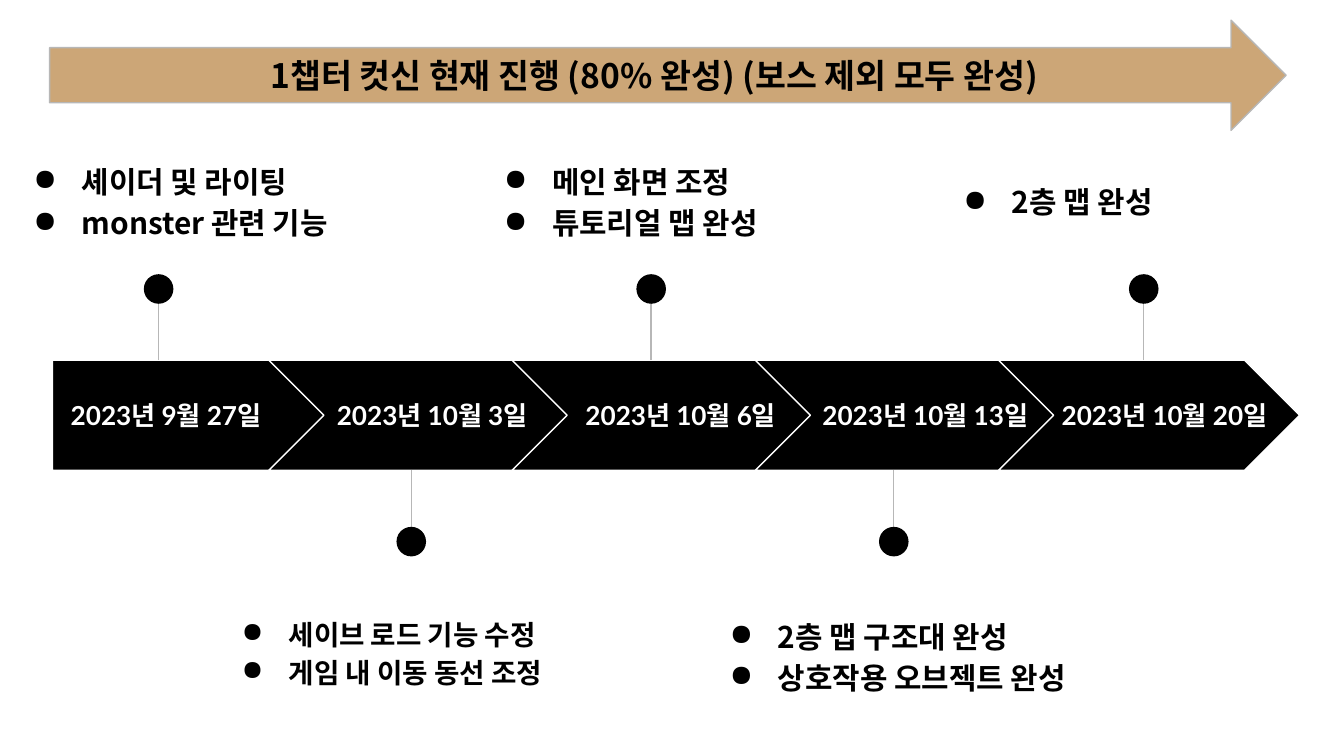
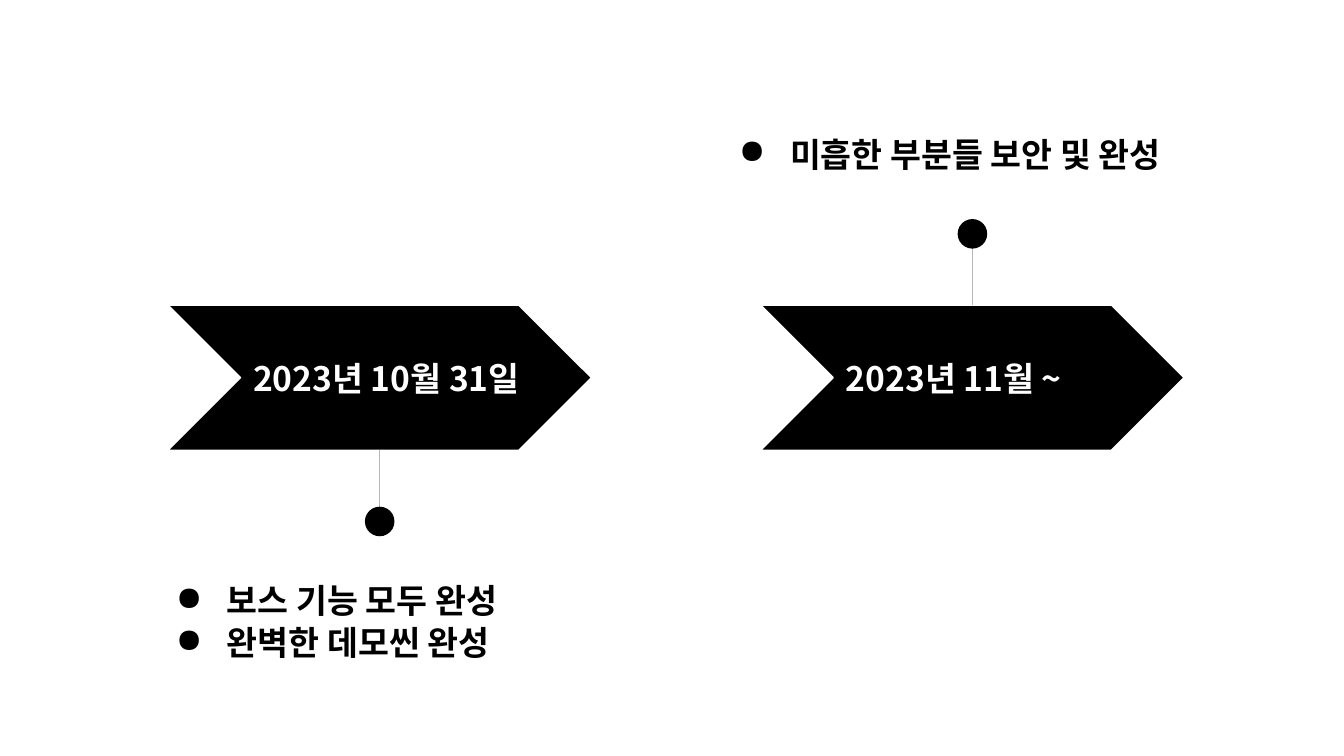
from dataclasses import dataclass

from lxml import etree
from pptx import Presentation
from pptx import util as u
from pptx.dml.color import RGBColor
from pptx.enum import shapes, text
from pptx.oxml.ns import qn

COLUMNS, ROWS = 100, 56.25  # square grid cells on a 16:9 page


@dataclass(frozen=True)
class Theme:
    ink: str = "000000"
    paper: str = "FFFFFF"
    rule: str = "B7B7B7"
    accent: str = "CCA677"
    hangul: str = "Noto Sans CJK KR"
    latin: str = "Lato"
    large: float = 18
    medium: float = 16
    compact: float = 14.8
    small: float = 14
    hairline: float = 0.75


THEME = Theme()
SHAPE = shapes.MSO_SHAPE
LEFT, CENTER = text.PP_ALIGN.LEFT, text.PP_ALIGN.CENTER


def assign(target, values):
    for name, value in values.items():
        setattr(target, name, value)


class Timeline:
    """Holds the deck, its theme and the slide being drawn."""

    DOT = 2.2        # dot diameter
    DOT_GAP = 4.2    # from bar edge to dot
    STEM = 6         # stem length, ending inside the dot

    def __init__(self, theme):
        self.theme = theme
        self.deck = Presentation()
        self.deck.slide_width = u.Inches(10)
        self.deck.slide_height = int(self.deck.slide_width * 9 / 16)
        self.page = None

    def new_page(self):
        self.page = self.deck.slides.add_slide(self.deck.slide_layouts[6])
        fill = self.page.background.fill
        fill.solid()
        fill.fore_color.rgb = RGBColor.from_string(self.theme.paper)

    def x(self, columns):
        return int(self.deck.slide_width * columns / COLUMNS)

    def y(self, rows):
        return int(self.deck.slide_height * rows / ROWS)

    def place(self, at):
        left, top, width, height = at
        return self.x(left), self.y(top), self.x(width), self.y(height)

    def shape(self, kind, at, fill, line=None):
        shape = self.page.shapes.add_shape(kind, *self.place(at))
        shape.shadow.inherit = False
        shape.fill.solid()
        shape.fill.fore_color.rgb = RGBColor.from_string(fill)
        if line:
            shape.line.color.rgb = RGBColor.from_string(line)
            shape.line.width = u.Pt(self.theme.hairline)
        else:
            shape.line.fill.background()
        return shape

    def step(self, kind, at):
        self.shape(kind, at, self.theme.ink, self.theme.paper)

    def set_text(self, shape, lines, size, color, font=None, align=LEFT,
                 anchor=text.MSO_ANCHOR.MIDDLE, spacing=None, hang=None):
        font = font or self.theme.hangul
        frame = shape.text_frame
        margins = ("margin_left", "margin_top", "margin_right", "margin_bottom")
        assign(frame, dict.fromkeys(margins, u.Inches(0.1)))
        assign(frame, {"word_wrap": True, "vertical_anchor": anchor})
        for index, line in enumerate(lines):
            para = frame.add_paragraph() if index else frame.paragraphs[0]
            if hang:
                self.bullet(para, hang)
            assign(para, {"alignment": align, "line_spacing": spacing})
            span = para.add_run()
            span.text = line
            assign(span.font, {"size": u.Pt(size), "bold": True, "name": font})
            span.font.color.rgb = RGBColor.from_string(color)
            etree.SubElement(span._r.get_or_add_rPr(), qn("a:ea"),
                             typeface=self.theme.hangul)

    def bullet(self, para, hang):
        props = para._p.get_or_add_pPr()
        props.set("marL", str(u.Inches(0.5)))
        props.set("indent", str(-u.Inches(hang)))
        color = etree.SubElement(props, qn("a:buClr"))
        etree.SubElement(color, qn("a:srgbClr"), val=self.theme.ink)
        etree.SubElement(props, qn("a:buChar"), char="●")

    def text_box(self, at):
        return self.page.shapes.add_textbox(*self.place(at))

    def label(self, at, line, size, font=None, align=LEFT):
        self.set_text(self.text_box(at), [line], size, self.theme.paper, font, align)

    def notes(self, at, lines, size, hang=0.36, spacing=1.15):
        self.set_text(self.text_box(at), lines, size, self.theme.ink,
                      anchor=text.MSO_ANCHOR.TOP, spacing=spacing, hang=hang)

    def pin(self, column, edge, up):
        """A stem from the bar's edge to a round head."""
        way = -1 if up else 1
        stem = self.page.shapes.add_connector(
            shapes.MSO_CONNECTOR.STRAIGHT, self.x(column), self.y(edge),
            self.x(column), self.y(edge + way * self.STEM))
        stem.line.color.rgb = RGBColor.from_string(self.theme.rule)
        stem.line.width = u.Pt(self.theme.hairline)
        etree.SubElement(stem._element.spPr, qn("a:effectLst"))
        radius = self.DOT / 2
        middle = edge + way * (self.DOT_GAP + radius)
        self.shape(SHAPE.OVAL, (column - radius, middle - radius, self.DOT, self.DOT),
                   self.theme.ink)

    def banner(self, at, line):
        arrow = self.shape(SHAPE.RIGHT_ARROW, at, self.theme.accent, self.theme.rule)
        self.set_text(arrow, [line], self.theme.large, self.theme.ink, align=CENTER)


def autumn_page(show):
    show.new_page()
    top, height, pitch = 26.8, 8.2, 18.1

    # Bar of steps
    show.step(SHAPE.PENTAGON, (3.9, top, 20.5, height))
    for index in range(4):
        show.step(SHAPE.CHEVRON, (20 + index * pitch, top, 22.4, height))

    # Pins alternate above and below; dates sit on the bar
    milestones = [
        (11.8, 3.9, 16.9, "2023년 9월 27일"),
        (30.6, 23.4, 17.5, "2023년 10월 3일"),
        (48.45, 40.9, 19.5, "2023년 10월 6일"),
        (66.5, 59.1, 19.5, "2023년 10월 13일"),
        (85.1, 77.4, 18.5, "2023년 10월 20일"),
    ]
    for index, (column, left, width, date) in enumerate(milestones):
        up = index % 2 == 0
        show.pin(column, top if up else top + height, up)
        show.label((left, 28.3, width, 5.1), date, THEME.small, THEME.latin, CENTER)

    # Work done at each step
    above, below = 10.8, 44.6
    show.notes((0.1, above, 26.9, 8.2), ["셰이더 및 라이팅", "monster 관련 기능"], THEME.medium)
    show.notes((15.5, below, 30.1, 8.2), ["세이브 로드 기능 수정", "게임 내 이동 동선 조정"],
               THEME.compact, hang=0.35)
    show.notes((35.1, above, 26.9, 8.2), ["메인 화면 조정", "튜토리얼 맵 완성"], THEME.medium)
    show.notes((51.9, below, 30.9, 8.2), ["2층 맵 구조대 완성", "상호작용 오브젝트 완성"],
               THEME.medium)
    show.notes((69.3, 12.3, 30.1, 5.1), ["2층 맵 완성"], THEME.medium)

    # Overall progress
    show.banner((3.7, 1.5, 92, 8.2), "1챕터 컷신 현재 진행 (80% 완성) (보스 제외 모두 완성)")


def closing_page(show):
    show.new_page()
    top, width, height = 22.7, 31.5, 10.8

    # Two steps with their dates and pins
    for left, date, up in ((12.5, "2023년 10월 31일", False), (56.6, "2023년 11월 ~", True)):
        show.step(SHAPE.CHEVRON, (left, top, width, height))
        show.label((left + 5.35, 24.7, 27.3, 6.8), date, THEME.large)
        show.pin(left + width / 2, top if up else top + height, up)

    # Work planned at each step
    show.notes((10.9, 42, 39.1, 8.8), ["보스 기능 모두 완성", "완벽한 데모씬 완성"],
               THEME.large, hang=0.38, spacing=1.05)
    show.notes((52.8, 8.5, 39.1, 5.8), ["미흡한 부분들 보안 및 완성"], THEME.large, hang=0.38)


def main():
    show = Timeline(THEME)
    autumn_page(show)
    closing_page(show)
    show.deck.save("out.pptx")


if __name__ == "__main__":
    main()
